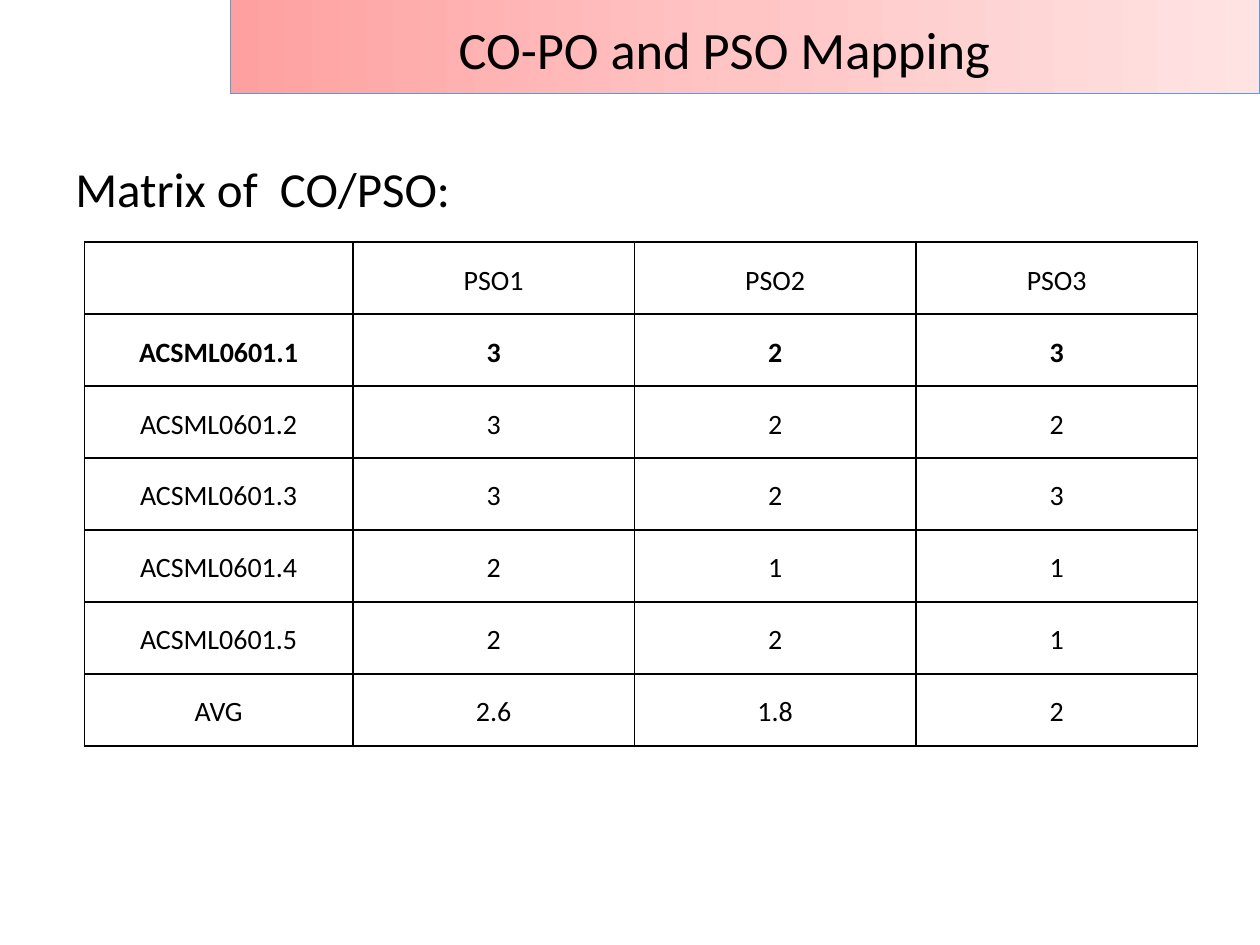
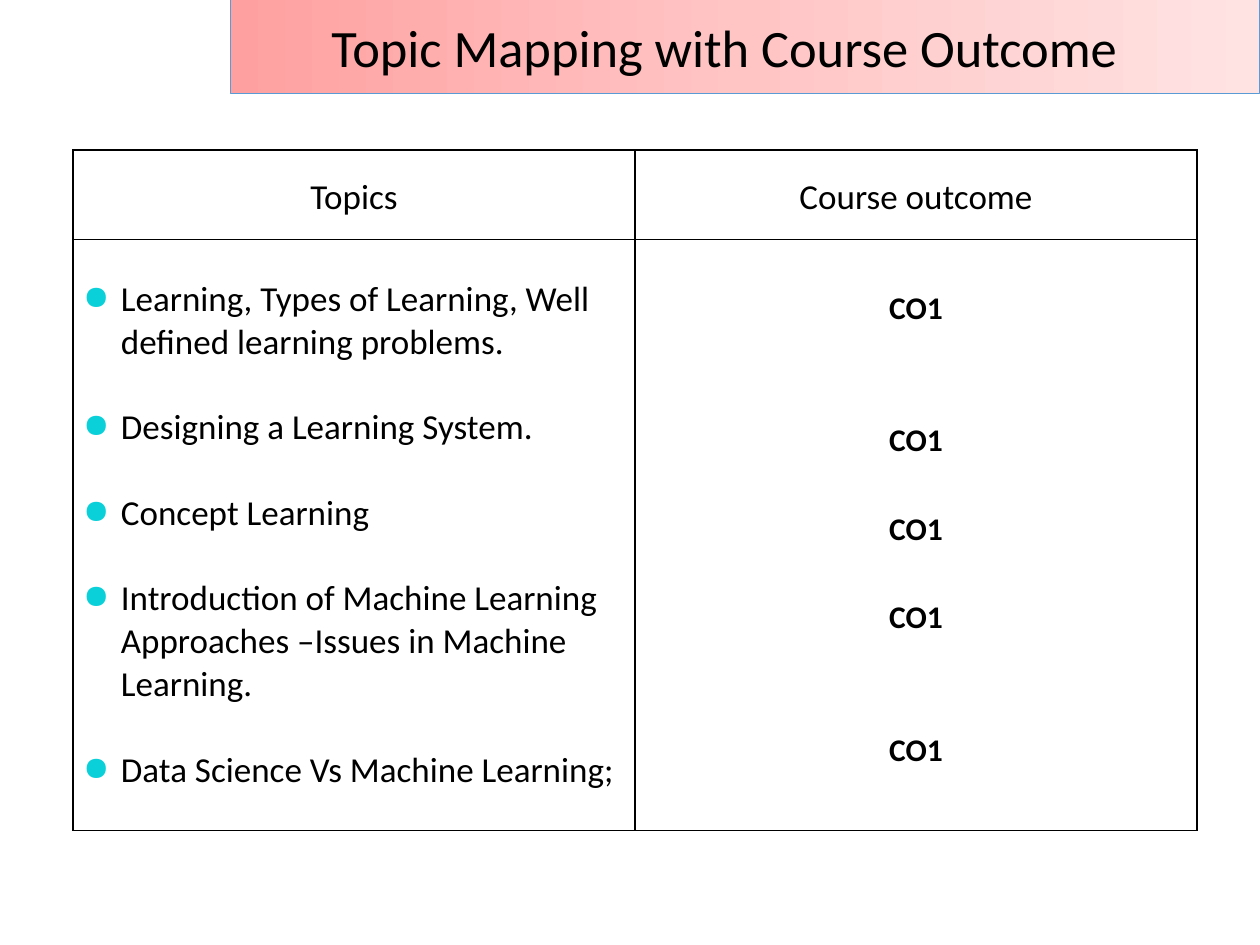
from copy import deepcopy

from lxml.etree import SubElement
from pptx import Presentation
from pptx.dml.color import RGBColor
from pptx.enum.shapes import MSO_SHAPE as Shape
from pptx.enum.text import MSO_ANCHOR as Anchor, PP_ALIGN as Align
from pptx.oxml.ns import qn
from pptx.util import Inches, Pt

COLORS = {
    "text": "000000",
    "border": "000000",
    "bullet": "0AD0D9",
    "band_line": "5B9BD5",
    "band_start": "FFA0A0",
    "band_middle": "FFC5C5",
    "band_end": "FFE3E3",
}

PSO_MATRIX = [
    ["", "PSO1", "PSO2", "PSO3"],
    ["ACSML0601.1", "3", "2", "3"],
    ["ACSML0601.2", "3", "2", "2"],
    ["ACSML0601.3", "3", "2", "3"],
    ["ACSML0601.4", "2", "1", "1"],
    ["ACSML0601.5", "2", "2", "1"],
    ["AVG", "2.6", "1.8", "2"],
]

# Each topic, its outcome, and the outcome's gap above in lines.
TOPICS = [
    ("Learning, Types of Learning, Well defined learning problems.", "CO1", 0),
    ("Designing a Learning System.", "CO1", 2),
    ("Concept Learning", "CO1", 1),
    ("Introduction of Machine Learning Approaches –Issues in Machine Learning.", "CO1", 1),
    ("Data Science Vs Machine Learning;", "CO1", 2),
]
TOPIC_LINE = 24.4
OUTCOME_LINE = 25.25


def rgb(name):
    return RGBColor.from_string(COLORS[name])


class Deck:
    font = "Calibri"
    cell_spacing = 1.15

    def __init__(self):
        self.prs = Presentation()
        self.prs.slide_width, self.prs.slide_height = Inches(10), Inches(7.5)
        self.slide = None

    def new_slide(self, title, left, top, width, height):
        self.slide = self.prs.slides.add_slide(self.prs.slide_layouts[6])
        self.band()
        self.text(title, left, top, width, height, size=30, align=Align.CENTER)

    def band(self):
        band = self.slide.shapes.add_shape(
            Shape.RECTANGLE, Inches(1.83), Inches(-0.01), Inches(8.17), Inches(0.75))
        band.shadow.inherit = False
        band.line.color.rgb = rgb("band_line")
        band.line.width = Pt(0.5)
        band.fill.gradient()
        band.fill.gradient_angle = 0
        stop_list = band.element.spPr.find(".//" + qn("a:gsLst"))
        stop_list.append(deepcopy(stop_list[0]))
        shades = ("band_start", "band_middle", "band_end")
        for index, (stop, shade) in enumerate(zip(band.fill.gradient_stops, shades)):
            stop.position = index / 2
            stop.color.rgb = rgb(shade)

    def run(self, paragraph, text, size, bold=False):
        run = paragraph.add_run()
        run.text = text
        run.font.name = self.font
        run.font.size = Pt(size)
        run.font.bold = bold
        run.font.color.rgb = rgb("text")

    def text(self, text, left, top, width, height, size, align=Align.LEFT, anchor=Anchor.TOP):
        box = self.slide.shapes.add_textbox(
            Inches(left), Inches(top), Inches(width), Inches(height))
        frame = box.text_frame
        frame.word_wrap = True
        frame.vertical_anchor = anchor
        paragraph = frame.paragraphs[0]
        paragraph.alignment = align
        self.run(paragraph, text, size)

    def table(self, left, top, columns, rows):
        """Add an empty bordered grid with the given column widths and row heights."""
        grid = self.slide.shapes.add_table(
            len(rows), len(columns), Inches(left), Inches(top),
            Inches(sum(columns)), Inches(sum(rows))).table
        grid.first_row = grid.horz_banding = False
        for column, width in zip(grid.columns, columns):
            column.width = Inches(width)
        for row, height in zip(grid.rows, rows):
            row.height = Inches(height)
        for cell in grid.iter_cells():
            self.borders(cell)
            cell.fill.background()
            cell.vertical_anchor = Anchor.MIDDLE
            cell.margin_left = cell.margin_right = Inches(0.07)
            cell.margin_top = cell.margin_bottom = 0
        return grid

    def borders(self, cell):
        properties = cell._tc.get_or_add_tcPr()
        for side in "LRTB":
            line = SubElement(properties, qn(f"a:ln{side}"), w=str(Pt(1)))
            fill = SubElement(line, qn("a:solidFill"))
            SubElement(fill, qn("a:srgbClr"), val=COLORS["border"])

    def paragraph(self, cell, space_before=0):
        """Return the cell's empty first paragraph, or a new one after its text."""
        frame = cell.text_frame
        if not frame.text:
            return frame.paragraphs[0]
        paragraph = frame.add_paragraph()
        paragraph.space_before = Pt(space_before)
        return paragraph

    def centred(self, cell, text, size, bold=False, space_before=0):
        paragraph = self.paragraph(cell, space_before)
        paragraph.alignment = Align.CENTER
        paragraph.line_spacing = self.cell_spacing
        self.run(paragraph, text, size, bold)

    def bullet(self, cell, text, size, space_before):
        paragraph = self.paragraph(cell, space_before)
        properties = paragraph._p.get_or_add_pPr()
        properties.set("marL", str(Inches(0.31)))
        properties.set("indent", str(Inches(-0.3)))
        color = SubElement(properties, qn("a:buClr"))
        SubElement(color, qn("a:srgbClr"), val=COLORS["bullet"])
        SubElement(properties, qn("a:buSzPct"), val="95000")
        SubElement(properties, qn("a:buChar"), char="●")
        self.run(paragraph, text, size)


def pso_mapping(deck):
    deck.new_slide("CO-PO and PSO Mapping", 3.11, 0.09, 5.28, 0.56)
    deck.text("Matrix of  CO/PSO:", 0.5, 1.21, 9.5, 0.57, size=28, anchor=Anchor.MIDDLE)
    matrix = deck.table(0.67, 1.92, [2.13] + [2.235] * 3, [4 / 7] * 7)
    for row, values in enumerate(PSO_MATRIX):
        for column, value in enumerate(values):
            if value:
                deck.centred(matrix.cell(row, column), value, size=16, bold=row == 1)


def topic_mapping(deck):
    deck.new_slide("Topic Mapping with Course Outcome", 2.24, 0.07, 7.02, 0.62)
    mapping = deck.table(0.58, 1.19, [4.46] * 2, [0.71, 4.69])
    for column, heading in enumerate(["Topics", "Course outcome"]):
        deck.centred(mapping.cell(0, column), heading, size=20)
    topics, outcomes = mapping.cell(1, 0), mapping.cell(1, 1)
    outcomes.vertical_anchor = Anchor.TOP
    outcomes.margin_top = Pt(OUTCOME_LINE)
    for topic, outcome, gap in TOPICS:
        deck.bullet(topics, topic, size=20, space_before=TOPIC_LINE)
        deck.centred(outcomes, outcome, size=18, bold=True, space_before=gap * OUTCOME_LINE)


def main():
    deck = Deck()
    pso_mapping(deck)
    topic_mapping(deck)
    deck.prs.save("out.pptx")


if __name__ == "__main__":
    main()
